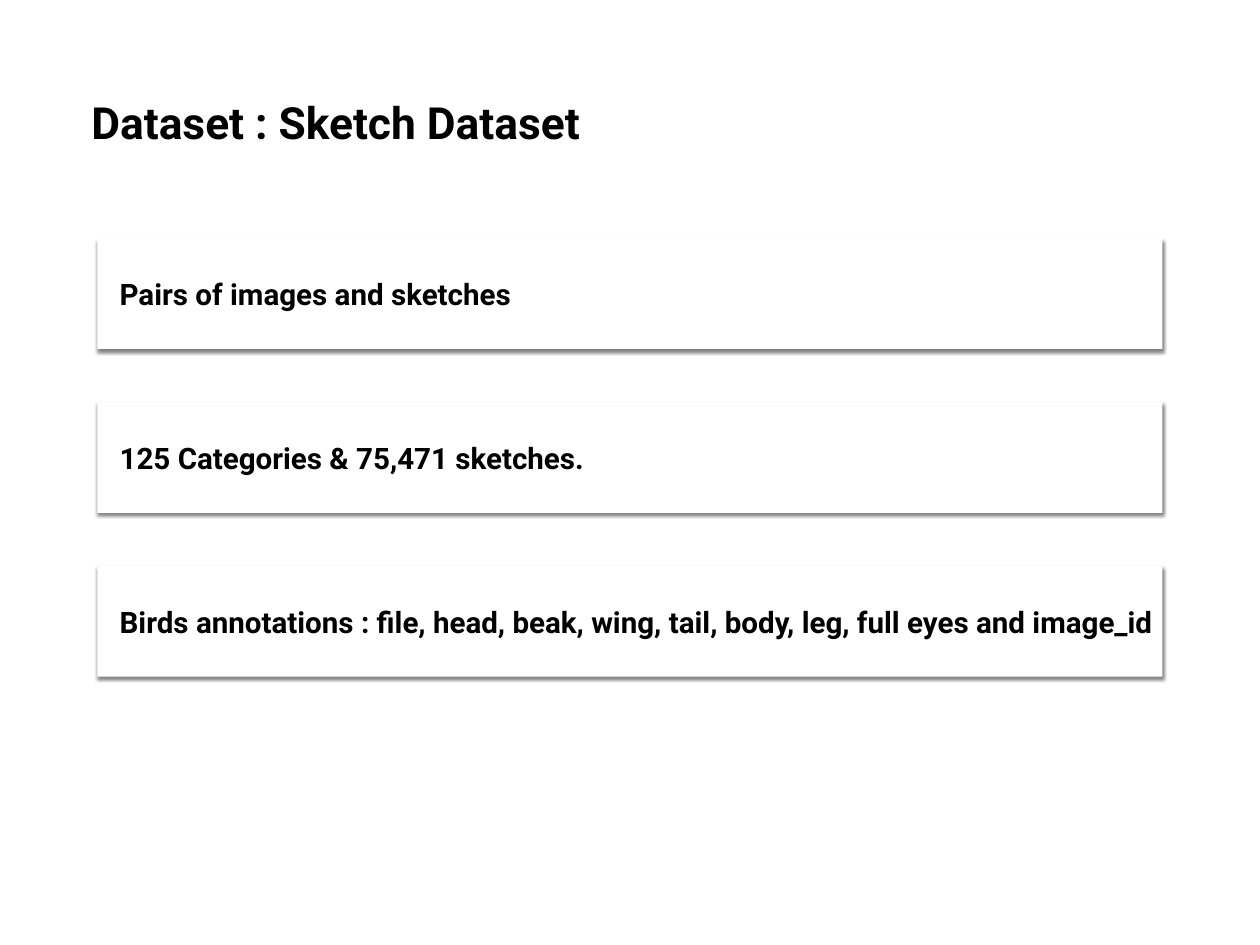
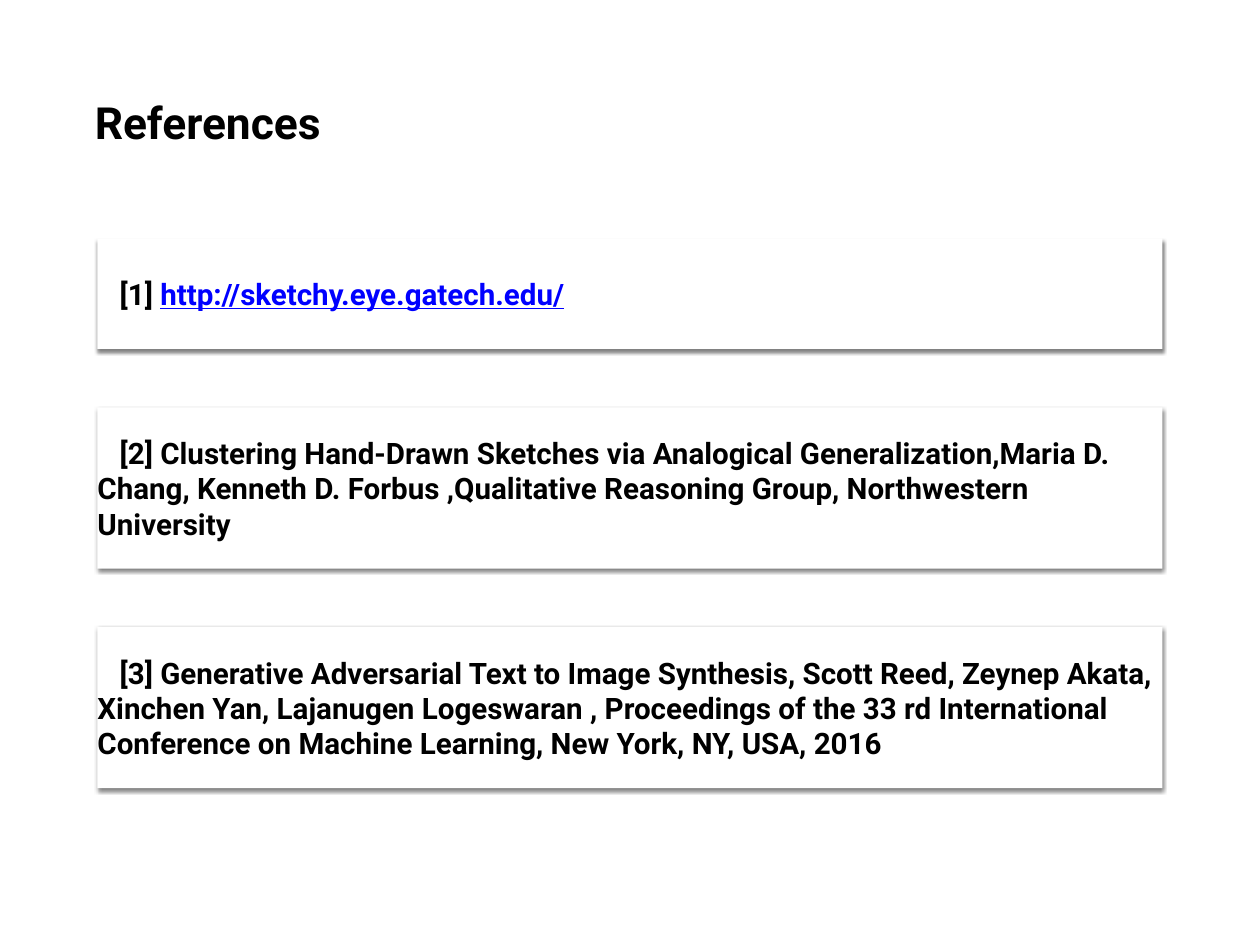
from lxml import etree
from pptx import Presentation
from pptx.dml.color import RGBColor
from pptx.enum.shapes import MSO_SHAPE
from pptx.enum.text import MSO_ANCHOR, MSO_AUTO_SIZE, PP_ALIGN
from pptx.oxml import parse_xml
from pptx.util import Inches, Pt

FONT = "Roboto"
BLACK, WHITE, LINK = "000000", "FFFFFF", "0000FF"
CARD_LEFT, CARD_TOP, CARD_WIDTH = 1.1, 2.69, 12.02
SHADOW = f"""
<a:effectLst xmlns:a="http://schemas.openxmlformats.org/drawingml/2006/main">
  <a:outerShdw blurRad="{Pt(3)}" dist="{Pt(2)}" dir="5400000" rotWithShape="0">
    <a:srgbClr val="{BLACK}"><a:alpha val="50000"/></a:srgbClr>
  </a:outerShdw>
</a:effectLst>"""

# Each slide: title, title left, gap between cards, cards as (height, runs)
SLIDES = [
    ("Dataset : Sketch Dataset", 0.97, 0.6, [
        (1.25, [("Pairs of images and sketches", BLACK)]),
        (1.25, [("125 Categories & 75,471 sketches.", BLACK)]),
        (1.25, [("Birds annotations : file, head, beak, wing, tail, body, leg, "
                 "full eyes and image_id", BLACK)]),
    ]),
    ("References", 1.01, 0.66, [
        (1.25, [("[1] ", BLACK), ("http://sketchy.eye.gatech.edu/", LINK)]),
        (1.82, [("[2] Clustering Hand-Drawn Sketches via Analogical "
                 "Generalization,Maria D. Chang, Kenneth D. Forbus ,Qualitative "
                 "Reasoning Group, Northwestern University", BLACK)]),
        (1.82, [("[3] Generative Adversarial Text to Image Synthesis, Scott Reed, "
                 "Zeynep Akata, Xinchen Yan, Lajanugen Logeswaran , Proceedings of "
                 "the 33 rd International Conference on Machine Learning, New York, "
                 "NY, USA, 2016", BLACK)]),
    ]),
]


def rgb(color):
    return RGBColor.from_string(color)


def write(sp, runs, size, margin):
    """Fill the shape with one left-aligned paragraph and return it."""
    tf = sp.text_frame
    tf.word_wrap = True
    tf.auto_size = MSO_AUTO_SIZE.NONE
    tf.vertical_anchor = MSO_ANCHOR.MIDDLE
    tf.margin_left = tf.margin_right = Inches(margin)
    tf.margin_top = tf.margin_bottom = Inches(margin)
    p = tf.paragraphs[0]
    p.alignment = PP_ALIGN.LEFT
    for text, color in runs:
        r = p.add_run()
        r.text = text
        r.font.name = FONT
        r.font.size = Pt(size)
        r.font.bold = True
        r.font.color.rgb = rgb(color)
        if color == LINK:
            r.font.underline = True
    return p


prs = Presentation()
prs.slide_width, prs.slide_height = Inches(14.22), Inches(10.67)
title_only = prs.slide_layouts[5]

for title_text, title_left, gap, cards in SLIDES:
    slide = prs.slides.add_slide(title_only)
    title = slide.shapes.title
    title.left, title.top = Inches(title_left), Inches(0.92)
    title.width, title.height = Inches(CARD_WIDTH), Inches(0.9)
    write(title, [(title_text, BLACK)], 36, 0.06)

    top = CARD_TOP
    for height, runs in cards:
        card = slide.shapes.add_shape(
            MSO_SHAPE.RECTANGLE, Inches(CARD_LEFT), Inches(top),
            Inches(CARD_WIDTH), Inches(height))
        card.fill.solid()
        card.fill.fore_color.rgb = rgb(WHITE)
        card.line.fill.background()
        card._element.spPr.append(parse_xml(SHADOW))
        p = write(card, runs, 24, 0)
        p._p.get_or_add_pPr().set("indent", str(Inches(0.25)))
        top += height + gap

prs.save("out.pptx")
